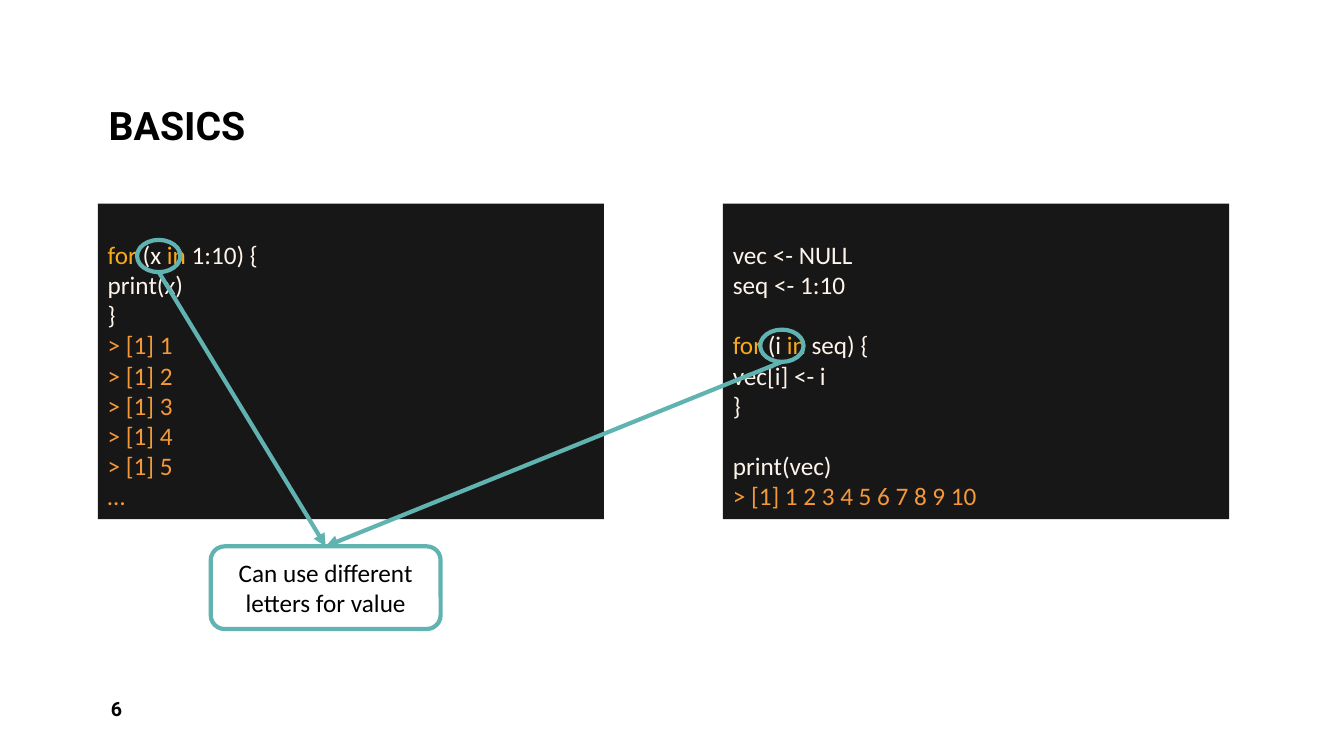
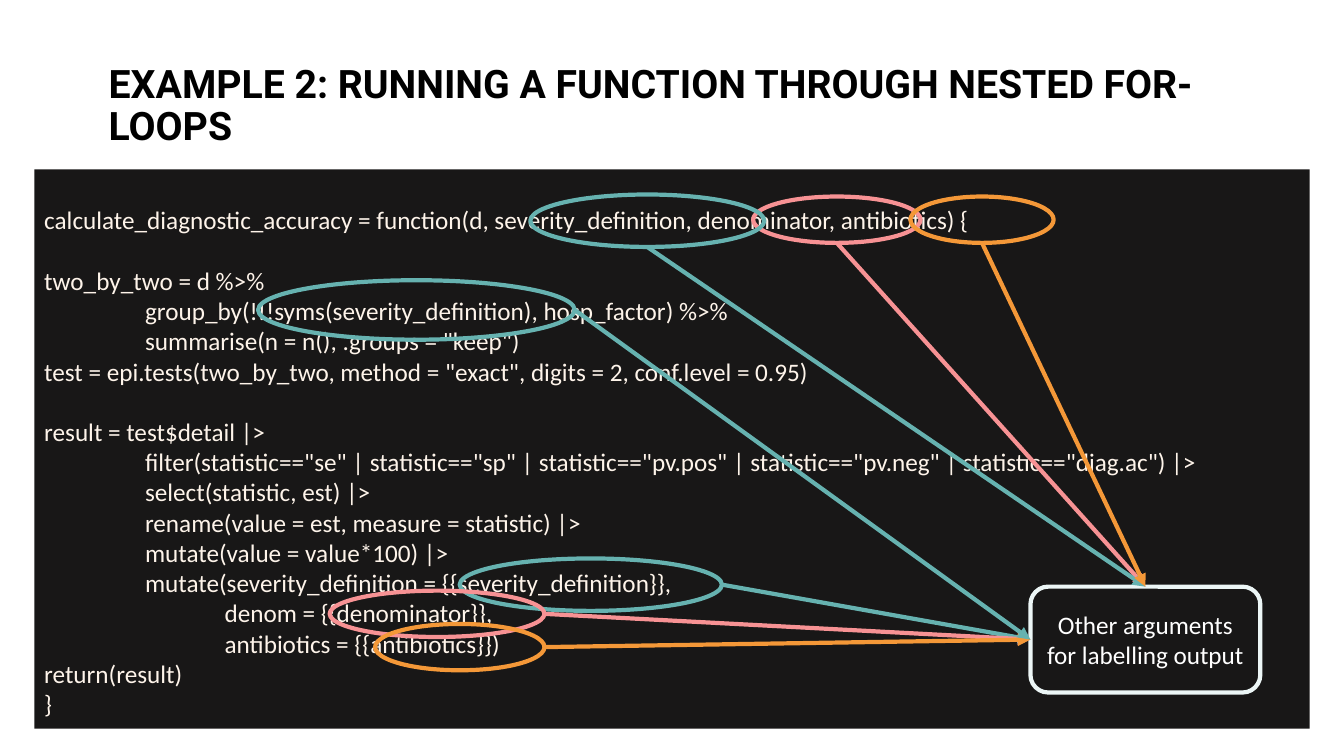
"""Build two slides on for-loops: annotated code panels with callouts."""
import pptx
import pptx.dml.color
import pptx.enum.shapes
import pptx.enum.text
import pptx.oxml
import pptx.oxml.ns
import pptx.util

PX = 9144
LINE_PITCH = 30
TAB_STOP = 100
COLORS = {
    "black": "000000", "white": "FFFFFF", "panel": "181717",
    "code": "FEF4EA", "keyword": "F9AA19", "orange": "F49838",
    "teal": "61B3B2", "soft_teal": "66B2B0", "pink": "F79294", "pale": "ECF6F6",
}
NAMESPACE = pptx.oxml.ns.nsdecls("a")
SHAPE = pptx.enum.shapes.MSO_SHAPE
ANCHOR = pptx.enum.text.MSO_ANCHOR
ALIGN = pptx.enum.text.PP_ALIGN


def add_box(slide, kind, place, fill=None, line=None):
    """Add a preset shape with a plain fill and a 3 pt outline, each optional."""
    shape = slide.shapes.add_shape(kind, *[value * PX for value in place])
    shape.shadow.inherit = False
    if fill:
        shape.fill.solid()
        shape.fill.fore_color.rgb = pptx.dml.color.RGBColor.from_string(COLORS[fill])
    else:
        shape.fill.background()
    if line:
        shape.line.color.rgb = pptx.dml.color.RGBColor.from_string(COLORS[line])
        shape.line.width = pptx.util.Pt(3)
    else:
        shape.line.fill.background()
    return shape


def write_lines(shape, lines, anchor, align=ALIGN.LEFT, font="Calibri", size=18, bold=False):
    """Write lines of (text, color) runs; an empty line becomes space before the next."""
    frame = shape.text_frame
    frame.word_wrap = True
    frame.vertical_anchor = anchor
    paragraph = None
    gap = 0
    for line in lines:
        if not line:
            gap += LINE_PITCH
            continue
        paragraph = frame.add_paragraph() if paragraph else frame.paragraphs[0]
        paragraph.alignment = align
        if gap:
            paragraph.space_before = gap * PX
            gap = 0
        if line[0][0].startswith("\t"):
            tabs = pptx.oxml.parse_xml(
                f'<a:tabLst {NAMESPACE}><a:tab pos="{TAB_STOP * PX}" algn="l"/></a:tabLst>')
            paragraph._p.get_or_add_pPr().append(tabs)
        for text, color in line:
            run = paragraph.add_run()
            run.text = text
            run.font.name = font
            run.font.size = pptx.util.Pt(size)
            run.font.bold = bold
            run.font.color.rgb = pptx.dml.color.RGBColor.from_string(COLORS[color])
    return frame


basics_loop = [
    [("for", "keyword"), (" (x ", "code"), ("in", "keyword"), (" 1:10) {", "code")],
    [("print(x)", "code")],
    [("}", "code")],
    *[[(f"> [1] {number}", "orange")] for number in range(1, 6)],
    [("…", "orange")],
]
basics_vector = [
    [("vec <- NULL", "code")],
    [("seq <- 1:10", "code")],
    [],
    [("for", "keyword"), (" (i ", "code"), ("in", "keyword"), (" seq) {", "code")],
    [("vec[i] <- i", "code")],
    [("}", "code")],
    [],
    [("print(vec)", "code")],
    [("> [1] 1 2 3 4 5 6 7 8 9 10", "orange")],
]
accuracy_source = """calculate_diagnostic_accuracy = function(d, severity_definition, denominator, antibiotics) {

two_by_two = d %>%
\tgroup_by(!!!syms(severity_definition), hosp_factor) %>%
\tsummarise(n = n(), .groups = "keep")
test = epi.tests(two_by_two, method = "exact", digits = 2, conf.level = 0.95)

result = test$detail |>
\tfilter(statistic=="se" | statistic=="sp" | statistic=="pv.pos" | statistic=="pv.neg" | statistic=="diag.ac") |>
\tselect(statistic, est) |>
\trename(value = est, measure = statistic) |>
\tmutate(value = value*100) |>
\tmutate(severity_definition = {{severity_definition}},
\t              denom = {{denominator}},
\t              antibiotics = {{antibiotics}})
return(result)
}"""
accuracy_function = [[(text, "code")] if text else [] for text in accuracy_source.split("\n")]

slides = [
    {
        "title": "BASICS",
        "number": "6",
        "panels": [((97, 202, 502, 313), basics_loop), ((717, 202, 502, 313), basics_vector)],
        "callout": ((209, 542, 228, 82), "Can use different letters for value", "black", "teal"),
        "rings": [
            ((136, 238, 43, 32), "teal", "down"),
            ((754, 327, 43, 32), "teal", "down"),
        ],
    },
    {
        "title": "EXAMPLE 2: RUNNING A FUNCTION THROUGH NESTED FOR-LOOPS",
        "number": None,
        "panels": [((34, 168, 1265, 555), accuracy_function)],
        "callout": ((1022, 582, 228, 105), "Other arguments for labelling output", "white", "pale"),
        "rings": [
            ((747, 195, 166, 46), "pink", "down"),
            ((526, 193, 232, 52), "soft_teal", "down"),
            ((903, 195, 142, 46), "orange", "down"),
            ((456, 554, 260, 52), "soft_teal", "right"),
            ((327, 586, 213, 46), "pink", "right"),
            ((372, 619, 168, 46), "orange", "right"),
            ((256, 278, 314, 59), "soft_teal", "right"),
        ],
    },
]

presentation = pptx.Presentation()
presentation.slide_width = 1333 * PX
presentation.slide_height = 750 * PX

for content in slides:
    slide = presentation.slides.add_slide(presentation.slide_layouts[6])

    title = slide.shapes.add_textbox(98 * PX, 8 * PX, 1138 * PX, 145 * PX)
    frame = write_lines(title, [[(content["title"], "black")]], ANCHOR.BOTTOM,
                        font="Roboto", size=28, bold=True)
    frame.paragraphs[0].line_spacing = 0.9

    if content["number"]:
        number = slide.shapes.add_textbox(100 * PX, 683 * PX, 292 * PX, 40 * PX)
        write_lines(number, [[(content["number"], "black")]], ANCHOR.MIDDLE,
                    font="Roboto", size=14, bold=True)

    for place, lines in content["panels"]:
        panel = add_box(slide, SHAPE.RECTANGLE, place, fill="panel")
        frame = write_lines(panel, lines, ANCHOR.TOP)
        frame.margin_top = (5 + LINE_PITCH) * PX

    place, text, text_color, outline = content["callout"]
    callout = add_box(slide, SHAPE.ROUNDED_RECTANGLE, place, line=outline)
    write_lines(callout, [[(text, text_color)]], ANCHOR.MIDDLE, ALIGN.CENTER)

    for place, color, direction in content["rings"]:
        ring = add_box(slide, SHAPE.OVAL, place, line=color)
        if direction == "down":
            start = (ring.left + ring.width // 2, ring.top + ring.height)
            end = (callout.left + callout.width // 2, callout.top)
        else:
            start = (ring.left + ring.width, ring.top + ring.height // 2)
            end = (callout.left, callout.top + callout.height // 2)
        arrow = slide.shapes.add_connector(
            pptx.enum.shapes.MSO_CONNECTOR.STRAIGHT, *start, *end)
        arrow.line.color.rgb = pptx.dml.color.RGBColor.from_string(COLORS[color])
        arrow.line.width = pptx.util.Pt(3)
        head = pptx.oxml.parse_xml(f'<a:tailEnd {NAMESPACE} type="triangle"/>')
        arrow.line._get_or_add_ln().append(head)
        no_effects = pptx.oxml.parse_xml(f'<a:effectLst {NAMESPACE}/>')
        arrow._element.spPr.append(no_effects)

presentation.save("out.pptx")
